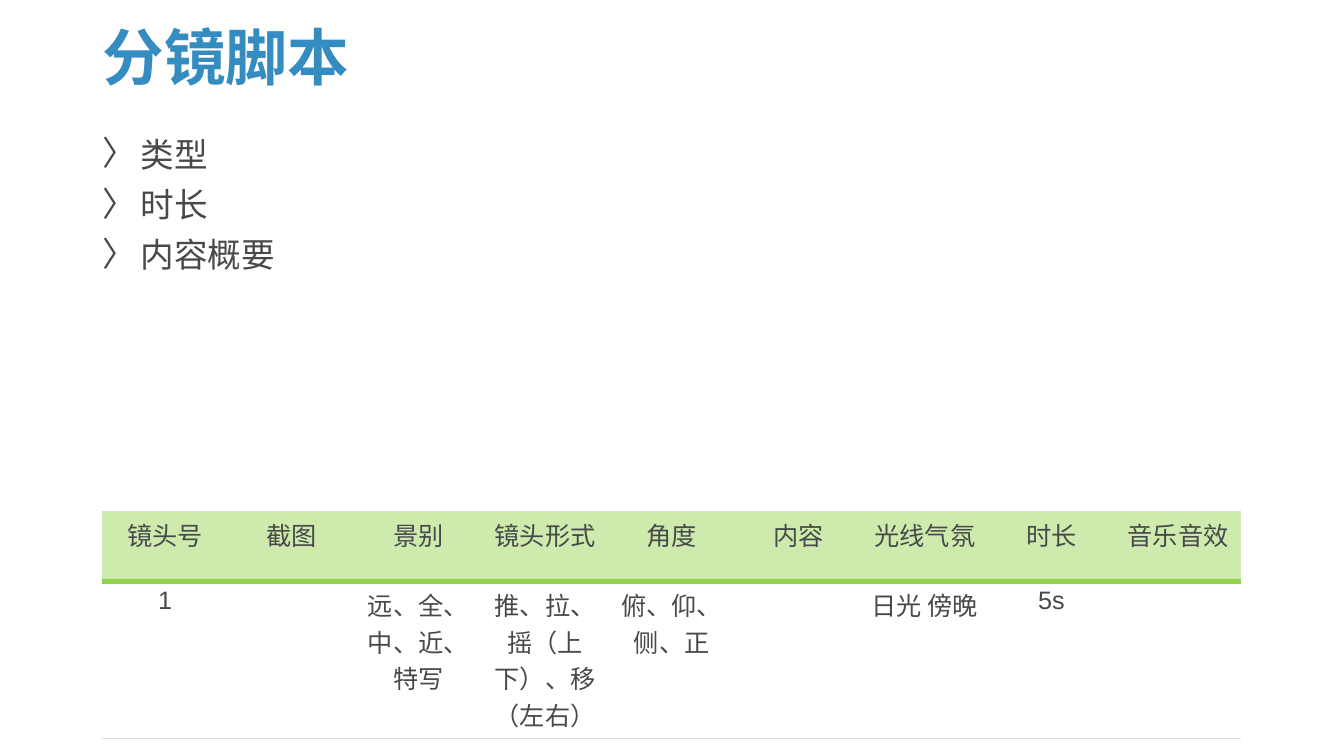
from lxml.etree import SubElement as Sub
from pptx import Presentation
from pptx.dml.color import RGBColor
from pptx.enum.text import MSO_ANCHOR as Anchor, PP_ALIGN as Align
from pptx.oxml import parse_xml
from pptx.oxml.ns import nsdecls, qn
from pptx.util import Pt

BLUE = RGBColor(0x35, 0x8C, 0xC1)
GREY = RGBColor(0x47, 0x49, 0x4B)
LIGHT = RGBColor(0xCE, 0xEA, 0xAD)
GREEN = RGBColor(0x92, 0xD1, 0x4C)
RULE = RGBColor(0xDA, 0xDA, 0xDA)
WHITE = RGBColor(0xFF, 0xFF, 0xFF)

PLAIN = "{2D5ABB26-0587-4C30-8999-92F81FD0307C}"  # table style without grid
HEADS = ["镜头号", "截图", "景别", "镜头形式", "角度", "内容", "光线气氛", "时长", "音乐音效"]
SHOT = ["1", "", "远、全、中、近、特写", "推、拉、摇（上下）、移（左右）", "俯、仰、侧、正", "",
        "日光 傍晚", "5s", ""]
ROWS = [
    # texts, height, fill, top border, bottom border
    (HEADS, 50.4, LIGHT, (RULE, 0.5), (GREEN, 4.5)),
    (SHOT, 112, WHITE, (GREEN, 4.5), (RULE, 0.5)),
]


def write(para, text, size, color, bold=False):
    run = para.add_run()
    run.text = text
    look = {"name": "Arial", "size": Pt(size), "bold": bold}
    for key, value in look.items():
        setattr(run.font, key, value)
    run.font.color.rgb = color


deck = Presentation()
deck.slide_width, deck.slide_height = Pt(960), Pt(540)
slide = deck.slides.add_slide(deck.slide_layouts[6])

# Title
title = slide.shapes.add_textbox(Pt(66.24), Pt(14.4), Pt(828), Pt(57.6)).text_frame
title.word_wrap = True
title.vertical_anchor = Anchor.MIDDLE
title.paragraphs[0].line_spacing = 0.9
write(title.paragraphs[0], "分镜脚本", 44, BLUE, True)

# Bullet list
body = slide.shapes.add_textbox(Pt(66.24), Pt(95.04), Pt(833.76), Pt(246.24)).text_frame
body.word_wrap = True
for i, text in enumerate(["类型", "时长", "内容概要"]):
    para = body.add_paragraph() if i else body.paragraphs[0]
    props = para._p.get_or_add_pPr()
    props.set("marL", str(Pt(27)))
    props.set("indent", str(Pt(-27)))
    Sub(props, qn("a:buFont")).set("typeface", "Arial")
    Sub(props, qn("a:buChar")).set("char", "〉")
    para.line_spacing = 0.9
    para.space_before = Pt(10 if i else 0)
    write(para, text, 24, GREY)

# Shot table
tall = sum(row[1] for row in ROWS)
frame = slide.shapes.add_table(len(ROWS), len(HEADS), Pt(72.72), Pt(365.04), Pt(814.32), Pt(tall))
table = frame.table
table._tbl.tblPr.find(qn("a:tableStyleId")).text = PLAIN
table.horz_banding = False
for r, (texts, height, fill, top, bottom) in enumerate(ROWS):
    table.rows[r].height = Pt(height)
    for c, text in enumerate(texts):
        cell = table.cell(r, c)
        cell.fill.solid()
        cell.fill.fore_color.rgb = fill
        para = cell.text_frame.paragraphs[0]
        para.alignment = Align.CENTER
        if text:
            write(para, text, 18, GREY)
        props = cell._tc.get_or_add_tcPr()
        for spot, (side, (color, width)) in enumerate([("lnT", top), ("lnB", bottom)]):
            props.insert(spot, parse_xml(
                f'<a:{side} {nsdecls("a")} w="{Pt(width)}"><a:solidFill>'
                f'<a:srgbClr val="{color}"/></a:solidFill></a:{side}>'))

deck.save("out.pptx")
